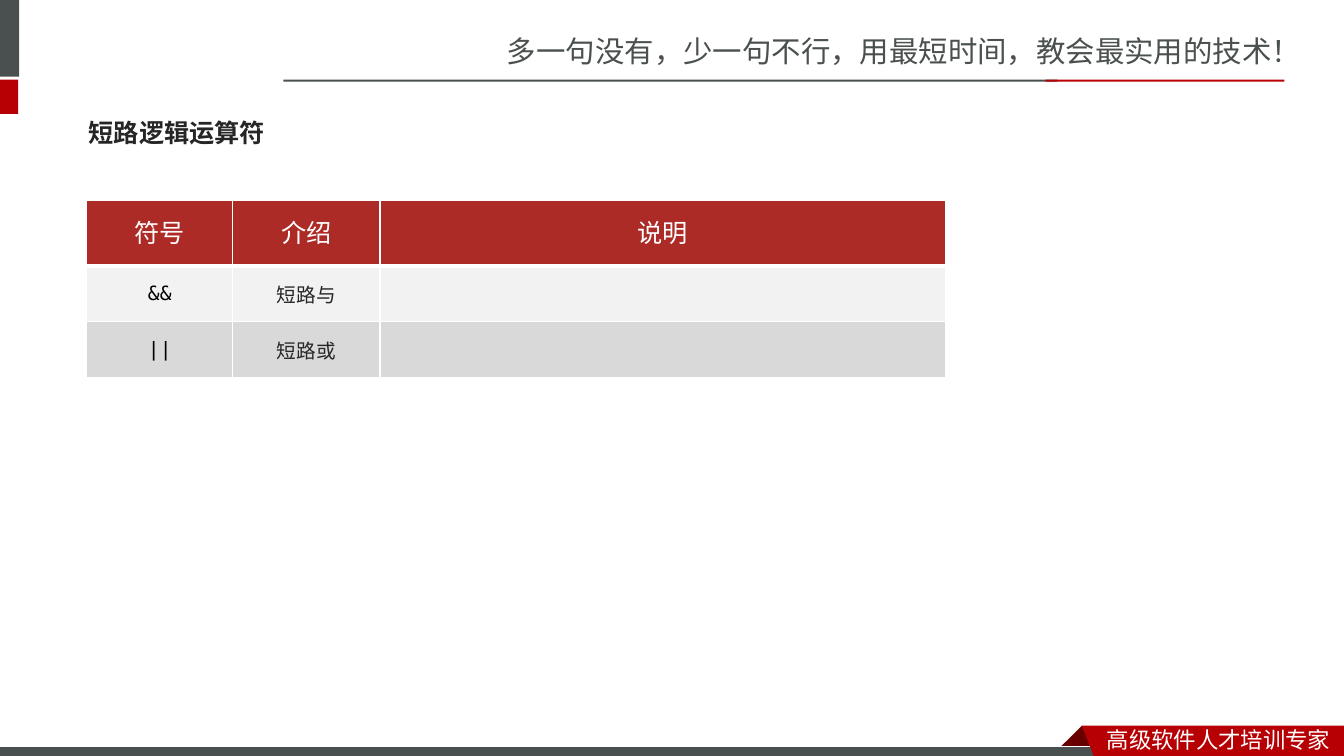
from lxml import etree
from pptx import Presentation
from pptx import util as u
from pptx.dml.color import RGBColor
from pptx.enum import shapes, text
from pptx.oxml.ns import qn

COLORS = {"gray": "49504F", "red": "B60004", "maroon": "680000", "white": "FFFFFF",
          "ink": "262626", "black": "000000", "header": "AD2B26",
          "light": "F2F2F2", "dark": "D9D9D9"}
SANS = "Noto Sans CJK SC"


def style_run(p, size, color, latin=SANS, east=SANS, bold=False):
    """Format the first run, with one font for Latin and one for Chinese."""
    f = p.runs[0].font
    f.size, f.bold, f.name = u.Pt(size), bold, latin
    f.color.rgb = RGBColor.from_string(COLORS[color])
    f._element.find(qn("a:latin")).addnext(
        etree.Element(qn("a:ea"), typeface=east))


prs = Presentation()
prs.slide_width, prs.slide_height = u.Inches(13.33), u.Inches(7.5)
s = prs.slides.add_slide(prs.slide_layouts[5])

# Header bars, then the footer bar between the ribbon's fold and its face.
# A bar is left, top, width, height; a ribbon part is a list of corners.
fold = [(10.73, 7.2), (10.95, 7.42), (10.94, 7.43), (10.52, 7.43), (10.51, 7.42)]
face = [(10.73, 7.2), (13.33, 7.2), (13.33, 7.54), (10.86, 7.53)]
decorations = [((-0.06, 0, 0.25, 0.76), "gray"),
               ((-0.06, 0.79, 0.24, 0.34), "red"),
               ((2.81, 0.79, 7.68, 0.02), "gray"),
               ((10.37, 0.79, 2.37, 0.02), "red"),
               (fold, "maroon"),
               ((-0.01, 7.41, 11, 0.12), "gray"),
               (face, "red")]
for geometry, color in decorations:
    if isinstance(geometry, list):
        # Freeform corners are whole numbers, so count in hundredths of an inch
        corners = [(round(x * 100), round(y * 100)) for x, y in geometry]
        ribbon = s.shapes.build_freeform(*corners[0], scale=u.Inches(0.01))
        ribbon.add_line_segments(corners[1:], close=True)
        sp = ribbon.convert_to_shape()
    else:
        sp = s.shapes.add_shape(shapes.MSO_SHAPE.RECTANGLE, *map(u.Inches, geometry))
    sp.shadow.inherit = False
    sp.fill.solid()
    sp.fill.fore_color.rgb = RGBColor.from_string(COLORS[color])
    sp.line.fill.background()
    if geometry == (-0.01, 7.41, 11, 0.12):
        sp.line.color.rgb = RGBColor.from_string(COLORS["white"])
        sp.line.width = u.Pt(0.75)

# Slogans
slogans = [((4.93, 0.28, 8.41, 0.47), "多一句没有，少一句不行，用最短时间，教会最实用的技术！", 21, "gray"),
           ((10.88, 7.15, 2.45, 0.37), "高级软件人才培训专家", 16, "white")]
for box, slogan, size, color in slogans:
    tf = s.shapes.add_textbox(*map(u.Inches, box)).text_frame
    tf.word_wrap = True
    tf.text = slogan
    style_run(tf.paragraphs[0], size, color)

# Title
title = s.shapes.title
title.left, title.top, title.width, title.height = map(u.Inches, (0.78, 1.03, 11.76, 0.57))
tf = title.text_frame
tf.text = "短路逻辑运算符"
tf.vertical_anchor = text.MSO_ANCHOR.MIDDLE
tf.paragraphs[0].alignment = text.PP_ALIGN.LEFT
style_run(tf.paragraphs[0], 18, "ink", "Noto Sans CJK JP", "Noto Sans CJK JP", True)

# Operator table
rows = [("符号", "介绍", "说明"), ("&&", "短路与", ""), ("||", "短路或", "")]
row_fills = ["header", "light", "dark"]
table = s.shapes.add_table(3, 3, *map(u.Inches, (0.86, 1.99, 8.52, 1.76))).table
for column, width in zip(table.columns, (1.45, 1.46, 5.61)):
    column.width = u.Inches(width)
for row, height in zip(table.rows, (0.65, 0.55, 0.56)):
    row.height = u.Inches(height)

for i, words in enumerate(rows):
    for j, word in enumerate(words):
        cell = table.cell(i, j)
        header = i == 0
        cell.vertical_anchor = text.MSO_ANCHOR.MIDDLE
        cell.margin_left = cell.margin_right = u.Inches(0.1 if header else 0.13)
        cell.margin_top = cell.margin_bottom = u.Inches(0.05 if header else 0.07)
        for side in "LRTB":
            thick = (i, side) in ((0, "B"), (1, "T"))
            ln = etree.SubElement(cell._tc.get_or_add_tcPr(), qn("a:ln" + side),
                                  w=str(u.Pt(3 if thick else 1)))
            fill = etree.SubElement(ln, qn("a:solidFill"))
            etree.SubElement(fill, qn("a:srgbClr"), val=COLORS["white"])
        cell.fill.solid()
        cell.fill.fore_color.rgb = RGBColor.from_string(COLORS[row_fills[i]])
        if not word:
            continue
        cell.text_frame.text = word
        p = cell.text_frame.paragraphs[0]
        p.alignment = text.PP_ALIGN.CENTER
        if header:
            p.line_spacing = u.Pt(24)
            style_run(p, 18, "white", "Arial")
        else:
            style_run(p, 14, "black" if j == 0 else "ink", "DejaVu Sans Mono")

prs.save("out.pptx")
